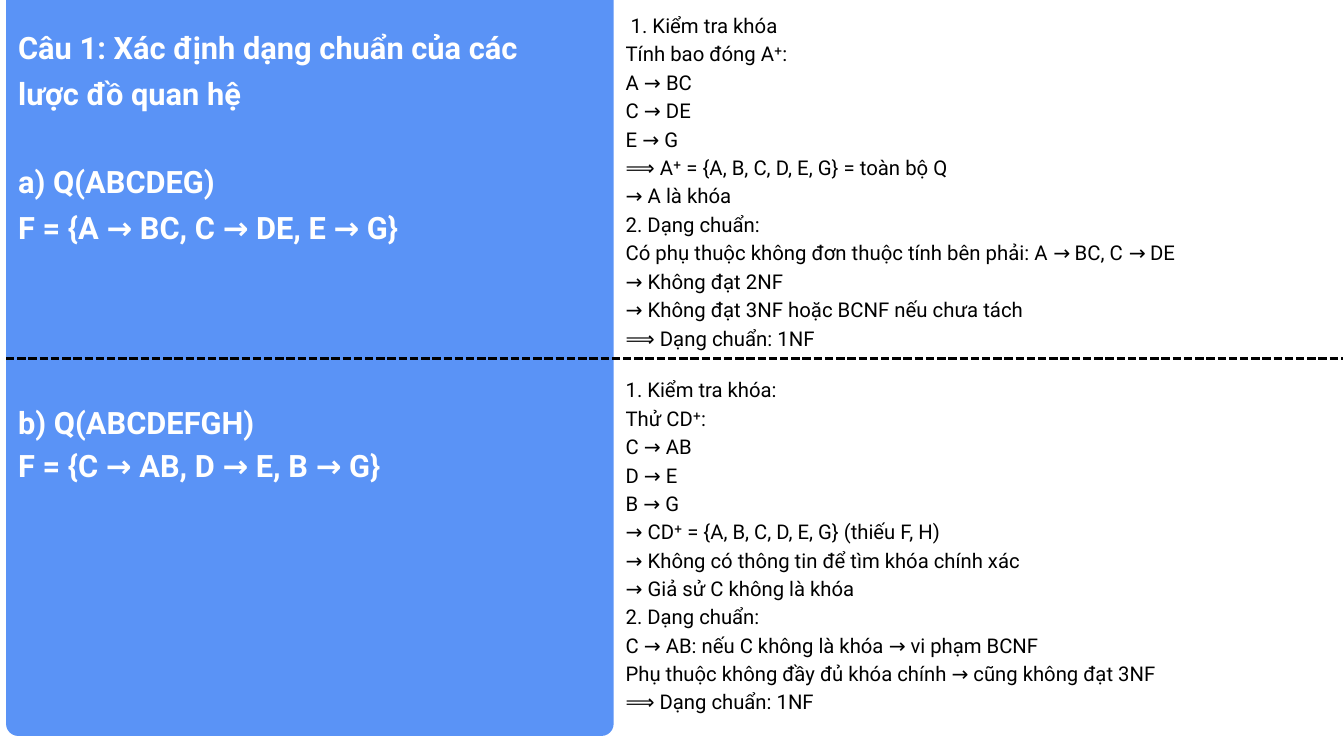
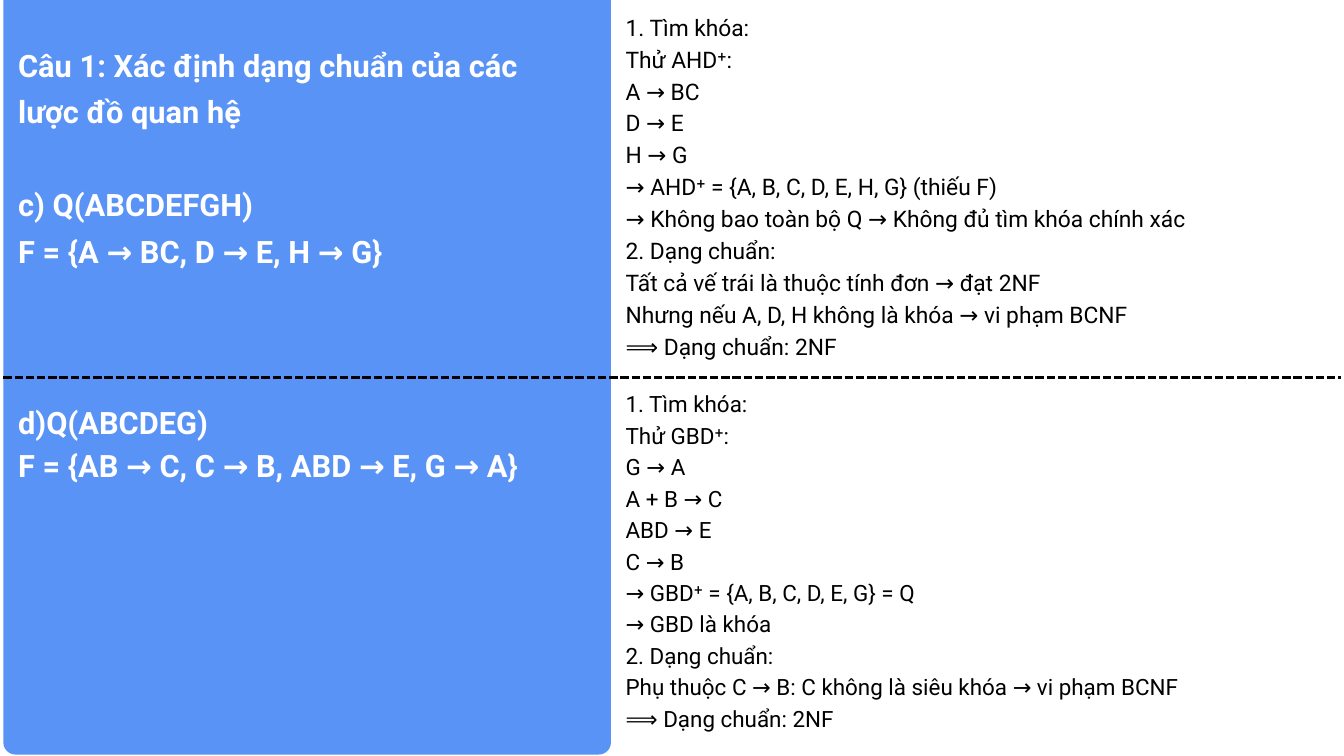
import pptx
import pptx.dml.color
import pptx.enum.dml
import pptx.enum.shapes
import pptx.enum.text
import pptx.oxml.ns
import pptx.util
from lxml import etree

Pt = pptx.util.Pt
HEADING = "Câu 1: Xác định dạng chuẩn của các lược đồ quan hệ"


def color(hex_string):
    return pptx.dml.color.RGBColor.from_string(hex_string)


class ExerciseDeck:
    FONT = "Roboto"
    BLUE, WHITE, BLACK = "5A93F6", "FFFFFF", "000000"
    QUESTION_SIZE = 33
    QUESTION_LEFT, ANSWER_LEFT, ANSWER_WIDTH = 19.4, 670.3, 750
    PANEL_WIDTH, RULE_WIDTH = 651, 1432.8

    def __init__(self):
        self.deck = pptx.Presentation()
        self.deck.slide_width, self.deck.slide_height = Pt(1440), Pt(810)
        self.page = None

    def add_page(self):
        layout = self.deck.slide_layouts.get_by_name("Two Content")
        self.page = self.deck.slides.add_slide(layout)

    def add_panel(self, left, bottom):
        panel = self.page.shapes.add_shape(
            pptx.enum.shapes.MSO_SHAPE.ROUND_2_SAME_RECTANGLE,
            Pt(left), Pt(0), Pt(self.PANEL_WIDTH), Pt(bottom))
        panel.adjustments[0] = 0
        panel.adjustments[1] = 0.02
        panel.fill.solid()
        panel.fill.fore_color.rgb = color(self.BLUE)
        panel.line.fill.background()
        panel.shadow.inherit = False
        self.page.shapes.element.insert(2, panel.element)

    def add_divider(self, left, top):
        divider = self.page.shapes.add_connector(
            pptx.enum.shapes.MSO_CONNECTOR.STRAIGHT,
            Pt(left), Pt(top), Pt(left + self.RULE_WIDTH), Pt(top))
        divider.line.color.rgb = color(self.BLACK)
        divider.line.width = Pt(3)
        divider.line.dash_style = pptx.enum.dml.MSO_LINE.SQUARE_DOT
        etree.SubElement(divider.element.spPr, pptx.oxml.ns.qn("a:effectLst"))

    def set_lines(self, box, lines, size, spacing, hex_string, bold=False):
        frame = box.text_frame
        frame.text = "\n".join(lines)
        frame.word_wrap = True
        frame.auto_size = pptx.enum.text.MSO_AUTO_SIZE.NONE
        frame.vertical_anchor = pptx.enum.text.MSO_ANCHOR.TOP
        frame.margin_left = frame.margin_right = Pt(0)
        frame.margin_top = frame.margin_bottom = Pt(0)
        for para in frame.paragraphs:
            properties = para._p.get_or_add_pPr()
            properties.set("marL", "0")
            properties.set("indent", "0")
            etree.SubElement(properties, pptx.oxml.ns.qn("a:buNone"))
            para.alignment = pptx.enum.text.PP_ALIGN.LEFT
            para.line_spacing = Pt(spacing)
            para.space_before = para.space_after = Pt(0)
            for span in para.runs:
                span.font.name = self.FONT
                span.font.size = Pt(size)
                span.font.bold = bold
                span.font.color.rgb = color(hex_string)

    def place(self, box, left, top, width, height):
        box.left, box.top = Pt(left), Pt(top)
        box.width, box.height = Pt(width), Pt(height)

    def add_title(self, top, gap, question):
        title = self.page.shapes.title
        self.place(title, self.QUESTION_LEFT, top, 594, 330)
        self.set_lines(title, [HEADING, *question], self.QUESTION_SIZE, 49.8,
                       self.WHITE, bold=True)
        title.text_frame.paragraphs[1].space_before = Pt(gap)

    def add_question(self, question):
        box = self.page.shapes.add_textbox(
            Pt(self.QUESTION_LEFT), Pt(426.2), Pt(630), Pt(136))
        self.set_lines(box, question, self.QUESTION_SIZE, 46.2, self.WHITE,
                       bold=True)

    def add_answer(self, index, top, size, spacing, lines):
        body = self.page.placeholders[index]
        self.place(body, self.ANSWER_LEFT, top, self.ANSWER_WIDTH,
                   len(lines) * spacing)
        self.set_lines(body, lines, size, spacing, self.BLACK)


def build_first(show):
    show.add_page()
    show.add_panel(6.5, 788.5)
    show.add_title(20.2, 43.8, ["a) Q(ABCDEG)", "F = {A → BC, C → DE, E → G}"])
    show.add_answer(1, 9.4, 21.8, 30.5, [
        " 1. Kiểm tra khóa",
        "Tính bao đóng A⁺:",
        "A → BC",
        "C → DE",
        "E → G",
        "⟹ A⁺ = {A, B, C, D, E, G} = toàn bộ Q",
        "→ A là khóa",
        "2. Dạng chuẩn:",
        "Có phụ thuộc không đơn thuộc tính bên phải: A → BC, C → DE",
        "→ Không đạt 2NF",
        "→ Không đạt 3NF hoặc BCNF nếu chưa tách",
        "⟹ Dạng chuẩn: 1NF",
    ])
    show.add_divider(6.5, 384.5)
    show.add_question(["b) Q(ABCDEFGH)", "F = {C → AB, D → E, B → G}"])
    show.add_answer(2, 400.3, 21.7, 30.4, [
        "1. Kiểm tra khóa:",
        "Thử CD⁺:",
        "C → AB",
        "D → E",
        "B → G",
        "→ CD⁺ = {A, B, C, D, E, G} (thiếu F, H)",
        "→ Không có thông tin để tìm khóa chính xác",
        "→ Giả sử C không là khóa",
        "2. Dạng chuẩn:",
        "C → AB: nếu C không là khóa → vi phạm BCNF",
        "Phụ thuộc không đầy đủ khóa chính → cũng không đạt 3NF",
        "⟹ Dạng chuẩn: 1NF",
    ])


def build_second(show):
    show.add_page()
    show.add_panel(3.6, 808.5)
    show.add_title(39.6, 49.8, ["c) Q(ABCDEFGH)", "F = {A → BC, D → E, H → G}"])
    show.add_answer(1, 9.4, 24.4, 34.2, [
        "1. Tìm khóa:",
        "Thử AHD⁺:",
        "A → BC",
        "D → E",
        "H → G",
        "→ AHD⁺ = {A, B, C, D, E, H, G} (thiếu F)",
        "→ Không bao toàn bộ Q → Không đủ tìm khóa chính xác",
        "2. Dạng chuẩn:",
        "Tất cả vế trái là thuộc tính đơn → đạt 2NF",
        "Nhưng nếu A, D, H không là khóa → vi phạm BCNF",
        "⟹ Dạng chuẩn: 2NF",
    ])
    show.add_divider(3.6, 404.6)
    show.add_question(["d)Q(ABCDEG)", "F = {AB → C, C → B, ABD → E, G → A}"])
    show.add_answer(2, 413.3, 24, 33.7, [
        "1. Tìm khóa:",
        "Thử GBD⁺:",
        "G → A",
        "A + B → C",
        "ABD → E",
        "C → B",
        "→ GBD⁺ = {A, B, C, D, E, G} = Q",
        "→ GBD là khóa",
        "2. Dạng chuẩn:",
        "Phụ thuộc C → B: C không là siêu khóa → vi phạm BCNF",
        "⟹ Dạng chuẩn: 2NF",
    ])


def main():
    show = ExerciseDeck()
    build_first(show)
    build_second(show)
    show.deck.save("out.pptx")


if __name__ == "__main__":
    main()
